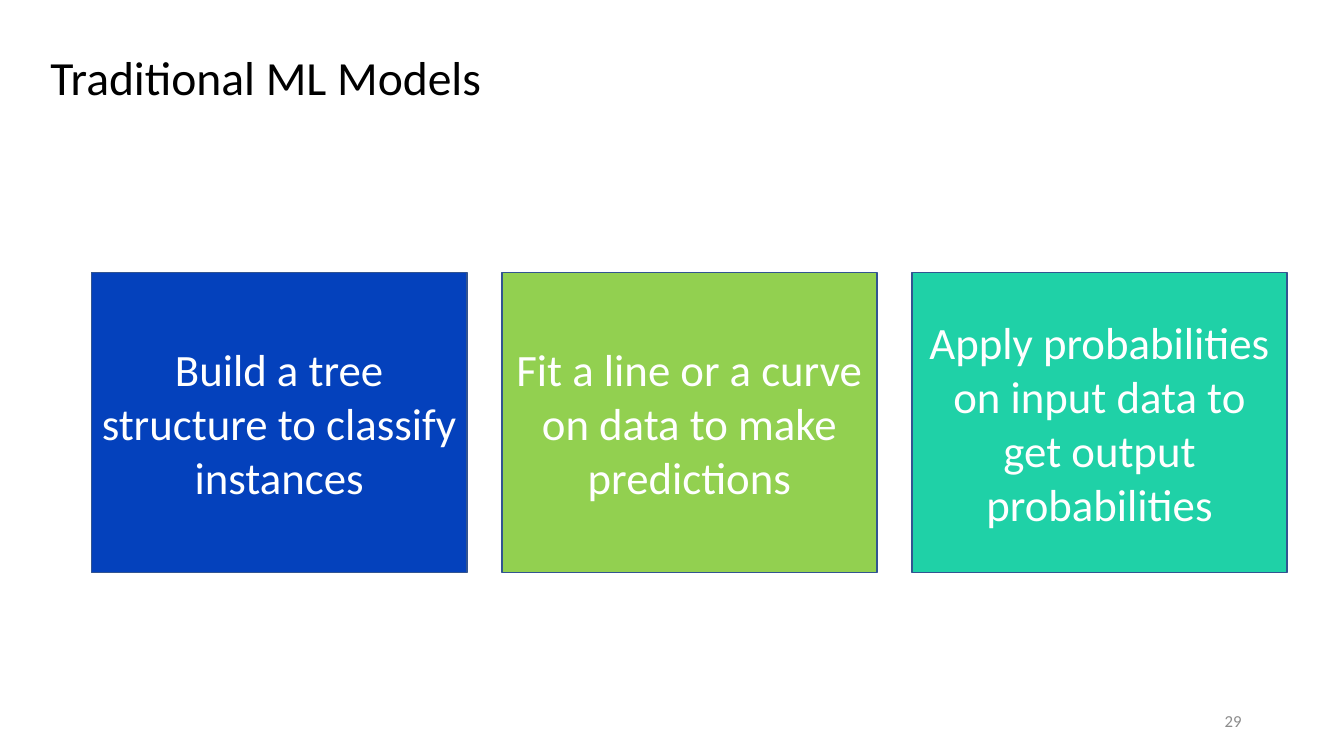
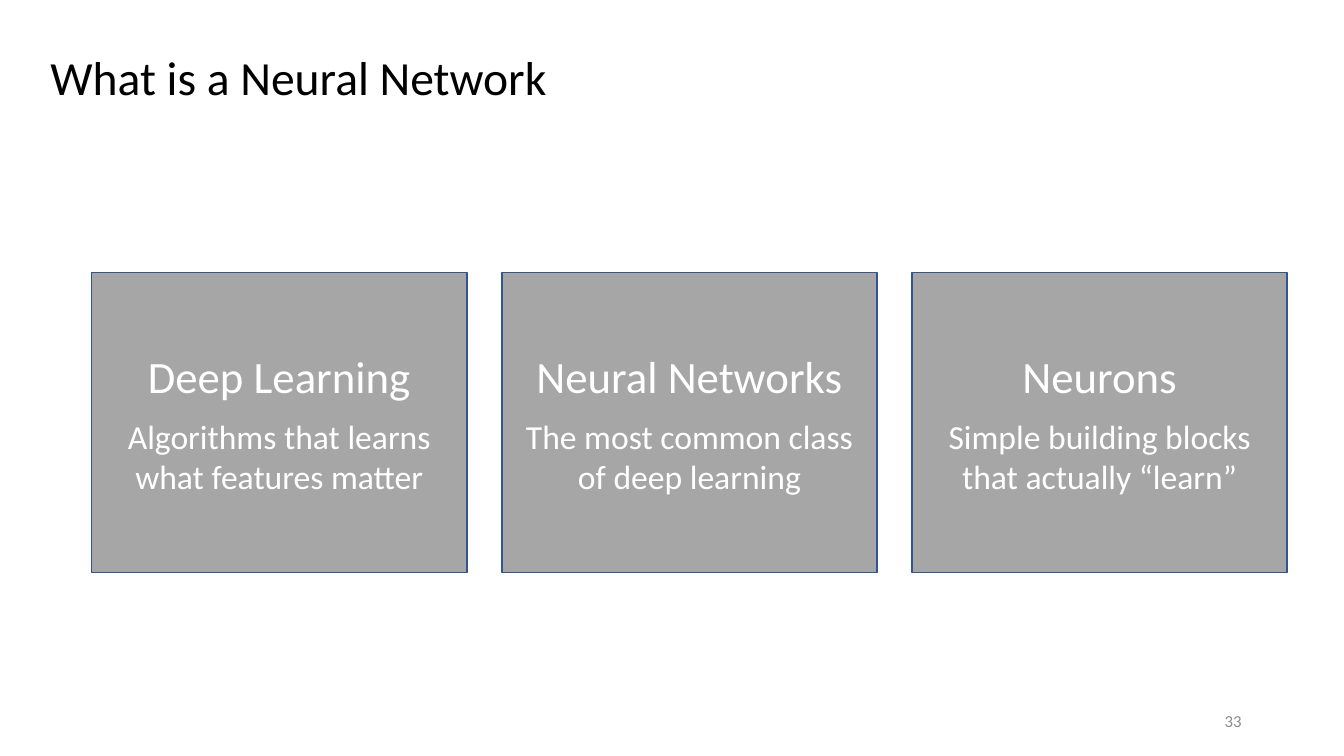
import pptx
import pptx.util
import pptx.dml.color
import pptx.enum.shapes
import pptx.enum.text

Pt = pptx.util.Pt
RGBColor = pptx.dml.color.RGBColor
ALIGN = pptx.enum.text.PP_ALIGN
MIDDLE = pptx.enum.text.MSO_ANCHOR.MIDDLE
RECTANGLE = pptx.enum.shapes.MSO_SHAPE.RECTANGLE

FONT = "Calibri"
BLACK = RGBColor(0x00, 0x00, 0x00)
WHITE = RGBColor(0xFF, 0xFF, 0xFF)
NUMBER_GRAY = RGBColor(0x8C, 0x8C, 0x8C)
OUTLINE = RGBColor(0x32, 0x54, 0x91)
BLUE = RGBColor(0x04, 0x41, 0xBC)
GREEN = RGBColor(0x92, 0xD0, 0x50)
TEAL = RGBColor(0x1F, 0xD1, 0xA7)
GRAY = RGBColor(0xA6, 0xA6, 0xA6)

CARD_LEFT, CARD_TOP = 65.5, 194.5
CARD_WIDTH, CARD_HEIGHT = 268, 214.5
CARD_STEP = 293
SIZES = (32, 24)

SLIDES = [
    ("Traditional ML Models", 29, [
        (BLUE, ["Build a tree structure to classify instances"]),
        (GREEN, ["Fit a line or a curve on data to make predictions"]),
        (TEAL, ["Apply probabilities on input data to get output probabilities"]),
    ]),
    ("What is a Neural Network", 33, [
        (GRAY, ["Deep Learning", "Algorithms that learns what features matter"]),
        (GRAY, ["Neural Networks", "The most common class of deep learning"]),
        (GRAY, ["Neurons", "Simple building blocks that actually “learn”"]),
    ]),
]


def style(p, text, size, color, align):
    p.text = text
    p.alignment = align
    p.font.name = FONT
    p.font.size = Pt(size)
    p.font.color.rgb = color


def add_label(s, left, top, width, height, text, size, color, align):
    tf = s.shapes.add_textbox(Pt(left), Pt(top), Pt(width), Pt(height)).text_frame
    tf.word_wrap = True
    tf.vertical_anchor = MIDDLE
    p = tf.paragraphs[0]
    style(p, text, size, color, align)
    return p


prs = pptx.Presentation()
prs.slide_width, prs.slide_height = Pt(960), Pt(540)

for title, number, cards in SLIDES:
    s = prs.slides.add_slide(prs.slide_layouts[6])
    add_label(s, 678, 500.5, 216, 28.75, str(number), 12, NUMBER_GRAY, ALIGN.RIGHT)
    p = add_label(s, 29, 0, 883, 115, title, 34, BLACK, ALIGN.LEFT)
    p.line_spacing = 0.9

    for i, (fill, texts) in enumerate(cards):
        sp = s.shapes.add_shape(RECTANGLE, Pt(CARD_LEFT + i * CARD_STEP), Pt(CARD_TOP),
                                Pt(CARD_WIDTH), Pt(CARD_HEIGHT))
        sp.shadow.inherit = False
        sp.fill.solid()
        sp.fill.fore_color.rgb = fill
        sp.line.color.rgb = OUTLINE
        sp.line.width = Pt(1)
        tf = sp.text_frame
        tf.word_wrap = True
        tf.vertical_anchor = MIDDLE
        for j, text in enumerate(texts):
            p = tf.add_paragraph() if j else tf.paragraphs[0]
            style(p, text, SIZES[j], WHITE, ALIGN.CENTER)
            if j:
                p.space_before = Pt(9.75)

prs.save("out.pptx")
